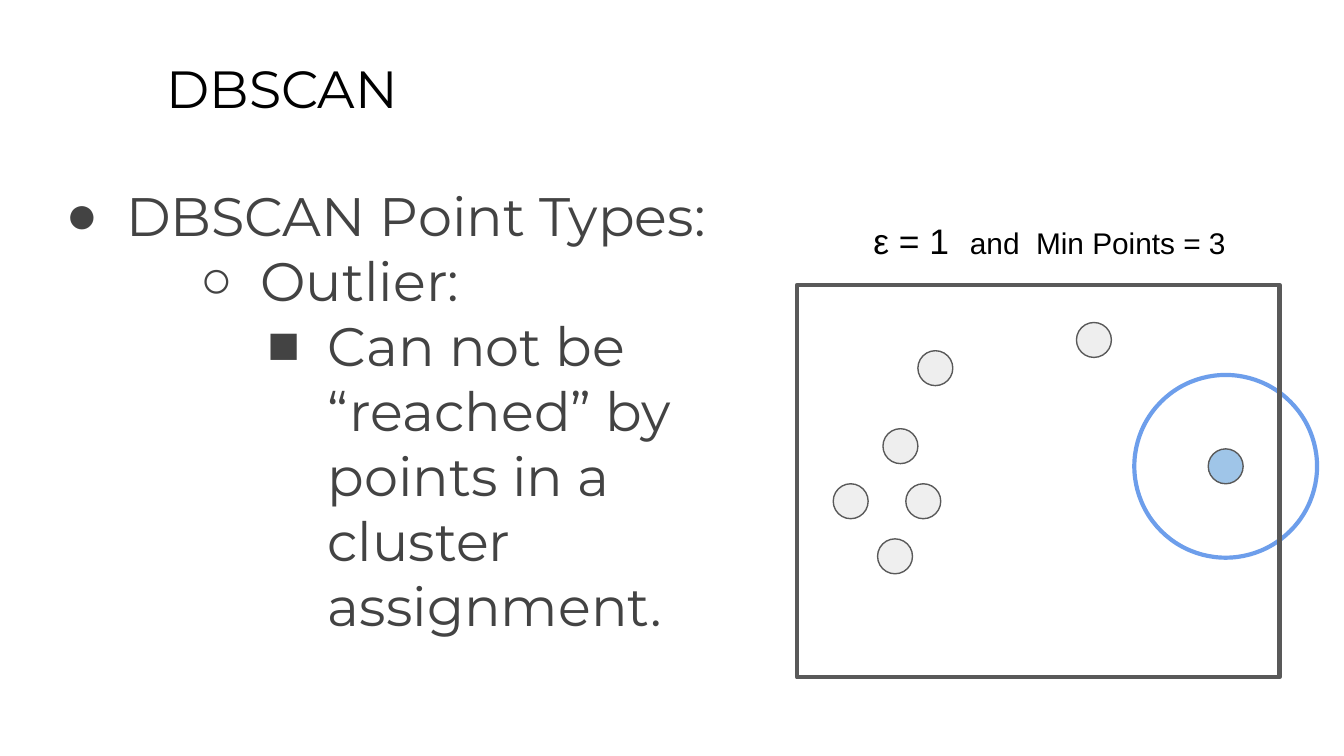
"""Build the DBSCAN outlier slide with its scatter of points."""
from lxml.etree import SubElement
from pptx import Presentation
from pptx.dml.color import RGBColor
from pptx.enum.shapes import MSO_SHAPE
from pptx.enum.text import MSO_ANCHOR, PP_ALIGN
from pptx.oxml.ns import qn
from pptx.util import Inches, Pt

BLACK = RGBColor(0x00, 0x00, 0x00)
TEXT_GREY = RGBColor(0x43, 0x43, 0x43)
LINE_GREY = RGBColor(0x59, 0x59, 0x59)
POINT_GREY = RGBColor(0xEE, 0xEE, 0xEE)
CLUSTER_GREY = RGBColor(0xEF, 0xEF, 0xEF)
OUTLIER_BLUE = RGBColor(0x9F, 0xC5, 0xE8)
RADIUS_BLUE = RGBColor(0x6D, 0x9E, 0xEB)

TITLE = "DBSCAN"
BULLETS = [
    ("DBSCAN Point Types:", 0, "●", 0.5),
    ("Outlier:", 1, "○", 1.5),
    ("Can not be “reached” by points in a cluster assignment.", 2, "■", 2),
]
HANGING = 0.45
CAPTION = [("ε = 1 ", 19), (" ", 21), ("and  Min Points = 3", 16)]

RADIUS_CIRCLE = (8.44, 2.79, 1.36, 1.36)
PLOT_FRAME = (5.93, 2.12, 3.59, 2.92)
POINT_SIZE = 0.26
POINTS = [
    (6.57, 3.19, POINT_GREY),
    (6.2, 3.6, CLUSTER_GREY),
    (6.74, 3.6, CLUSTER_GREY),
    (6.53, 4.01, CLUSTER_GREY),
    (6.83, 2.61, POINT_GREY),
    (8.01, 2.4, POINT_GREY),
    (8.99, 3.34, OUTLIER_BLUE),
]


def add_outline(s, kind, box, line, width, fill=None):
    sp = s.shapes.add_shape(kind, *map(Inches, box))
    sp.shadow.inherit = False
    if fill is None:
        sp.fill.background()
    else:
        sp.fill.solid()
        sp.fill.fore_color.rgb = fill
    sp.line.color.rgb = line
    sp.line.width = Pt(width)


def prepare_frame(sp):
    tf = sp.text_frame
    tf.word_wrap = True
    tf.vertical_anchor = MSO_ANCHOR.TOP
    tf.margin_left = tf.margin_right = Inches(0.1)
    tf.margin_top = tf.margin_bottom = Inches(0.1)
    return tf


def set_font(font, name, size, color):
    font.name = name
    font.size = Pt(size)
    font.color.rgb = color


def add_bullet(p, char, indent):
    pPr = p._p.get_or_add_pPr()
    pPr.set("marL", str(Inches(indent)))
    pPr.set("indent", str(-Inches(HANGING)))
    color = SubElement(pPr, qn("a:buClr"))
    SubElement(color, qn("a:srgbClr"), val=str(TEXT_GREY))
    SubElement(pPr, qn("a:buFont"), typeface="Arial")
    SubElement(pPr, qn("a:buChar"), char=char)


def add_title(s):
    sp = s.shapes.title
    sp.left, sp.top, sp.width, sp.height = map(Inches, (1.14, 0.32, 8.52, 0.63))
    tf = prepare_frame(sp)
    tf.text = TITLE
    p = tf.paragraphs[0]
    p.alignment = PP_ALIGN.LEFT
    set_font(p.runs[0].font, "Montserrat", 28, BLACK)


def add_body(s):
    tf = prepare_frame(s.shapes.add_textbox(*map(Inches, (0.34, 1.26, 5.49, 3.74))))
    for i, (text, level, char, indent) in enumerate(BULLETS):
        p = tf.add_paragraph() if i else tf.paragraphs[0]
        p.text = text
        p.level = level
        add_bullet(p, char, indent)
        set_font(p.runs[0].font, "Montserrat", 29, TEXT_GREY)


def add_caption(s):
    tf = prepare_frame(s.shapes.add_textbox(*map(Inches, (6.4, 1.5, 2.99, 0.55))))
    for text, size in CAPTION:
        r = tf.paragraphs[0].add_run()
        r.text = text
        set_font(r.font, "Arial", size, BLACK)


def main():
    prs = Presentation()
    prs.slide_width = Inches(10)
    prs.slide_height = prs.slide_width * 9 // 16
    s = prs.slides.add_slide(prs.slide_layouts[5])
    add_outline(s, MSO_SHAPE.OVAL, RADIUS_CIRCLE, RADIUS_BLUE, 2.25)
    add_outline(s, MSO_SHAPE.RECTANGLE, PLOT_FRAME, LINE_GREY, 2.25)
    add_title(s)
    add_body(s)
    for left, top, fill in POINTS:
        box = (left, top, POINT_SIZE, POINT_SIZE)
        add_outline(s, MSO_SHAPE.OVAL, box, LINE_GREY, 0.75, fill)
    add_caption(s)
    prs.save("out.pptx")


if __name__ == "__main__":
    main()
